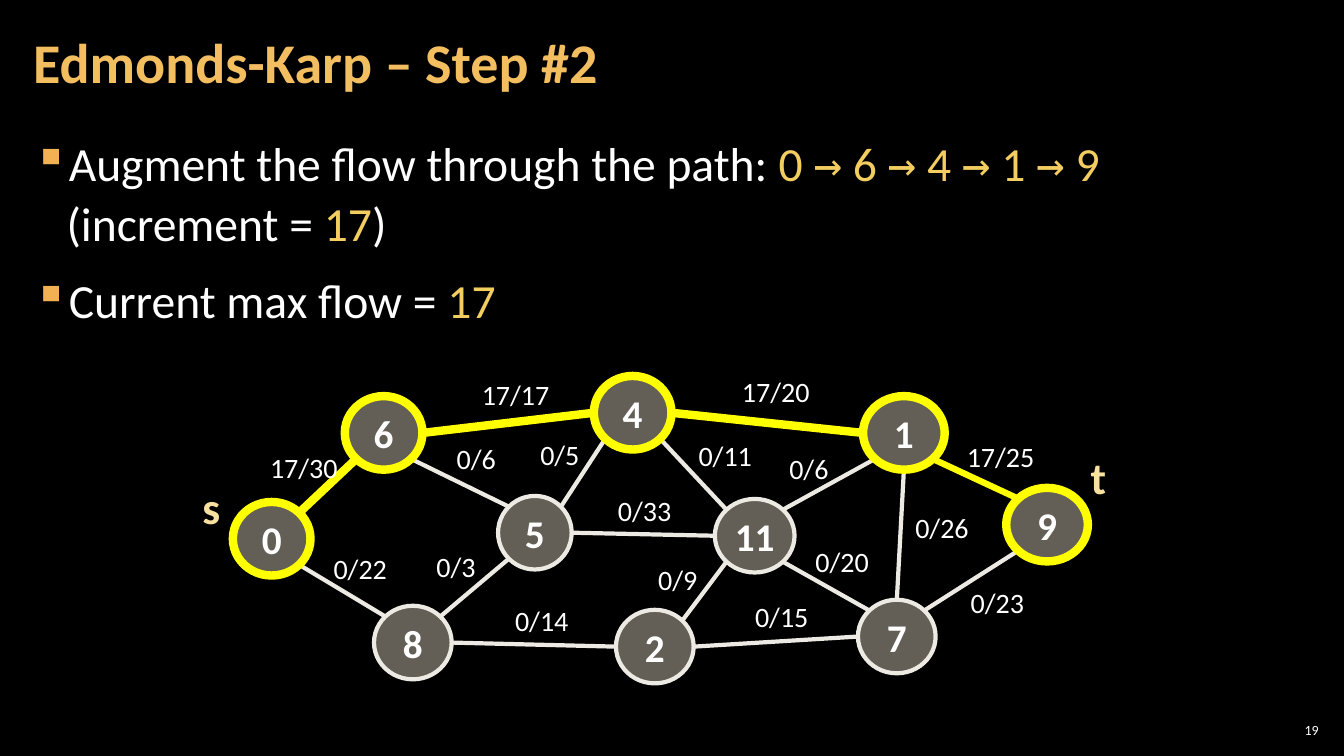
import math
from enum import Enum
from typing import NamedTuple

from lxml import etree
from pptx import Presentation
from pptx.dml.color import RGBColor
from pptx.enum import shapes, text
from pptx.oxml import ns
from pptx.util import Inches, Pt

COLORS = {
    "background": "000000", "white": "FFFFFF", "title": "F3BE60", "bullet": "F2B254",
    "accent": "F3CD60", "terminal": "F8E19F", "node": "C7BFAC", "edge": "ECEAE3",
    "path": "FFFF00",
}
FONT = "Calibri"
ARROW_FONT = "DejaVu Sans Mono"
NODE_HEIGHT = 0.73
NODE_INSETS = (0.04, 0.05)
BODY_INSETS = (0.12, 0.04)
LABEL_INSETS = (0.1, 0.05)


class Site(Enum):
    """Points on a node's outline, as angles in degrees clockwise from the right."""
    RIGHT = 0
    BOTTOM_RIGHT = 45
    BOTTOM = 90
    BOTTOM_LEFT = 135
    LEFT = 180
    TOP_LEFT = 225
    TOP = 270
    TOP_RIGHT = 315


class Node(NamedTuple):
    left: float
    top: float
    width: float = 0.77
    on_path: bool = False

    def site(self, site: Site) -> tuple[float, float]:
        angle = math.radians(site.value)
        return (self.left + self.width / 2 * (1 + math.cos(angle)),
                self.top + NODE_HEIGHT / 2 * (1 + math.sin(angle)))


class Edge(NamedTuple):
    start: str
    start_site: Site
    end: str
    end_site: Site
    flow: str
    label_left: float
    label_top: float
    path_width: float = 0


class Span(NamedTuple):
    words: str
    color: str = "white"
    font: str = FONT


NODES = {
    "11": Node(7.09, 4.95, 0.79),
    "1": Node(8.56, 3.93, 0.81, True),
    "4": Node(5.89, 3.73, on_path=True),
    "5": Node(4.94, 4.92, 0.73),
    "8": Node(3.71, 6.01),
    "2": Node(6.11, 6.05),
    "7": Node(8.51, 5.95),
    "6": Node(3.42, 3.93, on_path=True),
    "0": Node(2.31, 4.98, on_path=True),
    "9": Node(9.98, 4.84, 0.81, True),
}
EDGES = [
    Edge("11", Site.TOP_RIGHT, "1", Site.BOTTOM_LEFT, "0/6", 7.73, 4.43),
    Edge("4", Site.RIGHT, "1", Site.LEFT, "17/20", 7.26, 3.67, 6),
    Edge("11", Site.TOP_LEFT, "4", Site.BOTTOM_RIGHT, "0/11", 6.83, 4.3),
    Edge("5", Site.RIGHT, "11", Site.LEFT, "0/33", 6.03, 4.85),
    Edge("4", Site.BOTTOM_LEFT, "5", Site.TOP_RIGHT, "0/5", 5.26, 4.29),
    Edge("6", Site.RIGHT, "4", Site.LEFT, "17/17", 4.68, 3.7, 6),
    Edge("5", Site.TOP_LEFT, "6", Site.BOTTOM_RIGHT, "0/6", 4.43, 4.33),
    Edge("11", Site.BOTTOM_RIGHT, "7", Site.TOP_LEFT, "0/20", 7.99, 5.35),
    Edge("2", Site.LEFT, "8", Site.RIGHT, "0/14", 5.01, 5.94),
    Edge("5", Site.BOTTOM_LEFT, "8", Site.TOP_RIGHT, "0/3", 4.23, 5.4),
    Edge("2", Site.TOP_RIGHT, "11", Site.BOTTOM_LEFT, "0/9", 6.43, 5.53),
    Edge("0", Site.TOP_RIGHT, "6", Site.BOTTOM_LEFT, "17/30", 2.58, 4.42, 6),
    Edge("7", Site.TOP, "1", Site.BOTTOM, "0/26", 8.98, 5.02),
    Edge("7", Site.LEFT, "2", Site.RIGHT, "0/15", 7.39, 5.9),
    Edge("0", Site.BOTTOM_RIGHT, "8", Site.TOP_LEFT, "0/22", 3.21, 5.42),
    Edge("9", Site.TOP_LEFT, "1", Site.BOTTOM_RIGHT, "17/25", 9.49, 4.31, 4.5),
    Edge("9", Site.BOTTOM_LEFT, "7", Site.TOP_RIGHT, "0/23", 9.53, 5.76),
]
ARROW = Span("→", "accent", ARROW_FONT)
BULLETS = [
    [Span("Augment the flow through the path: "), Span("0 ", "accent"), ARROW,
     Span(" 6 ", "accent"), ARROW, Span(" 4 ", "accent"), ARROW, Span(" 1 ", "accent"),
     ARROW, Span(" 9", "accent"), Span(" (increment = "), Span("17", "accent"), Span(")")],
    [Span("Current max flow = "), Span("17", "accent")],
]


def rgb(name: str) -> RGBColor:
    return RGBColor.from_string(COLORS[name])


def format_font(font, size: float, color: str, bold: bool = False, name: str = FONT) -> None:
    font.size, font.bold, font.name = Pt(size), bold, name
    font.color.rgb = rgb(color)


def set_insets(frame, insets: tuple[float, float]) -> None:
    frame.margin_left = frame.margin_right = Inches(insets[0])
    frame.margin_top = frame.margin_bottom = Inches(insets[1])


def add_text(slide, box: tuple[float, float, float, float], words: str, size: float,
             color: str = "white", bold: bool = False, wrap: bool = False,
             insets: tuple[float, float] = LABEL_INSETS):
    frame = slide.shapes.add_textbox(*map(Inches, box)).text_frame
    frame.word_wrap = wrap
    set_insets(frame, insets)
    frame.text = words
    for run in frame.paragraphs[0].runs:
        format_font(run.font, size, color, bold)
    return frame


def add_bullet(paragraph, spans: list[Span]) -> None:
    paragraph.line_spacing = 1.05
    paragraph.space_before = paragraph.space_after = Pt(6)
    properties = paragraph._p.get_or_add_pPr()
    properties.set("marL", str(Inches(0.33)))
    properties.set("indent", str(-Inches(0.33)))
    bullet_color = etree.SubElement(properties, ns.qn("a:buClr"))
    etree.SubElement(bullet_color, ns.qn("a:srgbClr"), val=COLORS["bullet"])
    etree.SubElement(properties, ns.qn("a:buChar"), char="▪")
    for span in spans:
        run = paragraph.add_run()
        run.text = span.words
        format_font(run.font, 34, span.color, name=span.font)


def add_edge(slide, edge: Edge) -> None:
    start = NODES[edge.start].site(edge.start_site)
    end = NODES[edge.end].site(edge.end_site)
    line = slide.shapes.add_connector(
        shapes.MSO_CONNECTOR.STRAIGHT, *map(Inches, start + end))
    line.line.color.rgb = rgb("path" if edge.path_width else "edge")
    line.line.width = Pt(edge.path_width or 3)
    etree.SubElement(line._element.spPr, ns.qn("a:effectLst"))


def add_node(slide, name: str, node: Node) -> None:
    shape = slide.shapes.add_shape(
        shapes.MSO_SHAPE.OVAL,
        *map(Inches, (node.left, node.top, node.width, NODE_HEIGHT)))
    shape.shadow.inherit = False
    shape.fill.solid()
    shape.fill.fore_color.rgb = rgb("node")
    fill_color = shape._element.spPr.find(".//" + ns.qn("a:srgbClr"))
    etree.SubElement(fill_color, ns.qn("a:alpha"), val="50000")
    shape.line.color.rgb = rgb("path" if node.on_path else "edge")
    shape.line.width = Pt(6 if node.on_path else 3)
    frame = shape.text_frame
    set_insets(frame, NODE_INSETS)
    frame.vertical_anchor = text.MSO_ANCHOR.MIDDLE
    frame.text = name
    frame.paragraphs[0].alignment = text.PP_ALIGN.CENTER
    format_font(frame.paragraphs[0].runs[0].font, 28, "white", True)


def main() -> None:
    presentation = Presentation()
    presentation.slide_width, presentation.slide_height = Inches(13.33), Inches(7.5)
    slide = presentation.slides.add_slide(presentation.slide_layouts[6])
    slide.background.fill.solid()
    slide.background.fill.fore_color.rgb = rgb("background")

    number = add_text(slide, (12.65, 7.14, 0.47, 0.21), "19", 10, wrap=True,
                      insets=(0.04, 0.04))
    number.vertical_anchor = text.MSO_ANCHOR.MIDDLE
    number.paragraphs[0].alignment = text.PP_ALIGN.RIGHT

    body = add_text(slide, (0.21, 1.26, 12.91, 6.09), "", 34, wrap=True, insets=BODY_INSETS)
    body.add_paragraph()
    for paragraph, spans in zip(body.paragraphs, BULLETS):
        add_bullet(paragraph, spans)

    title = add_text(slide, (0.21, 0.04, 10.47, 1.21), "Edmonds-Karp – Step #2", 40,
                     "title", True, True, BODY_INSETS)
    title.vertical_anchor = text.MSO_ANCHOR.MIDDLE
    title.paragraphs[0].line_spacing = 0.9

    for edge in EDGES:
        add_edge(slide, edge)
    for name, node in NODES.items():
        add_node(slide, name, node)
    for edge in EDGES:
        label_width = 0.14 + 0.15 * len(edge.flow)
        add_text(slide, (edge.label_left, edge.label_top, label_width, 0.44), edge.flow, 20)
    add_text(slide, (1.91, 4.71, 0.38, 0.64), "s", 32, "terminal", True)
    add_text(slide, (10.72, 4.41, 0.36, 0.64), "t", 32, "terminal", True)
    presentation.save("out.pptx")


if __name__ == "__main__":
    main()
